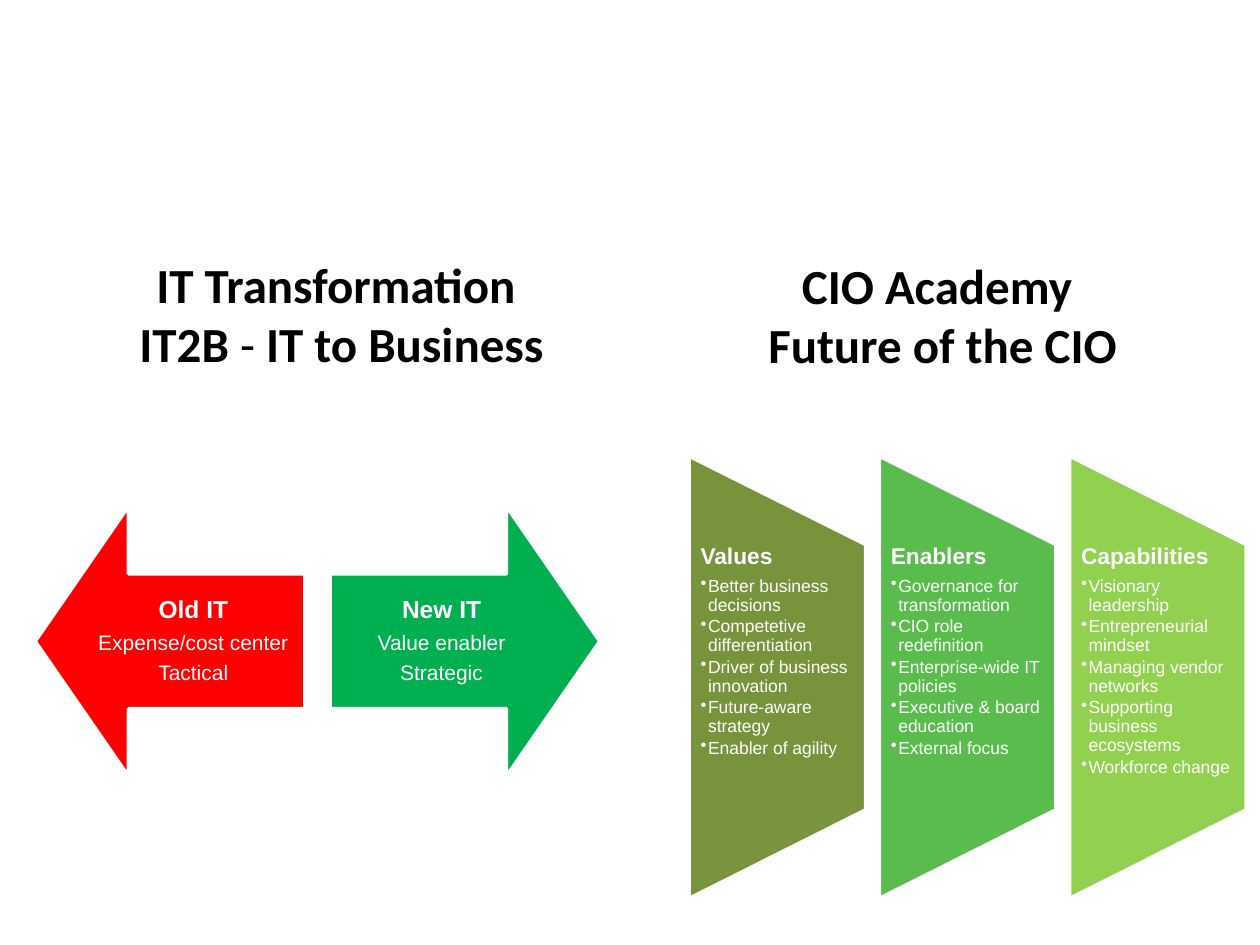
import lxml.etree
import pptx
import pptx.dml.color
import pptx.enum.text
import pptx.oxml.ns
import pptx.util

SLIDE_WIDTH, SLIDE_HEIGHT = 10, 7.5
COLORS = {
    "heading": "000000",
    "white": "FFFFFF",
    "old": "FF0000",
    "new": "00B050",
    "values": "77933C",
    "enablers": "59BC4C",
    "capabilities": "92D050",
}
HEADING = {"size": 28, "name": "Calibri", "color": "heading", "bold": True}
ARROW_TITLE = {"size": 14, "name": "Arial", "color": "white", "bold": True}
ARROW_LINE = {**ARROW_TITLE, "size": 12, "bold": False}
PANEL_TITLE = {**ARROW_TITLE, "size": 13}
PANEL_ITEM = {**ARROW_TITLE, "size": 10, "bold": False}

CENTER = pptx.enum.text.PP_ALIGN.CENTER
LEFT = pptx.enum.text.PP_ALIGN.LEFT
TOP = pptx.enum.text.MSO_ANCHOR.TOP
MIDDLE = pptx.enum.text.MSO_ANCHOR.MIDDLE

PANEL_LEFT, PANEL_TOP, PANEL_PITCH = 5.47, 3.62, 1.51
PANEL_WIDTH, PANEL_HEIGHT = 1.4, 3.51
ARROW_TOP, ARROW_SIZE = 4.02, 2.14

HEADINGS = [
    (0.5, 1.97, [["IT Transformation "], ["IT2B", " - ", "IT to Business"]]),
    (5.27, 1.98, [["CIO Academy "], ["Future of the CIO"]]),
]
ARROWS = [
    (0.28, 1, "old", (0.48, 0.64, 0.11, 0.64),
     "Old IT", ["Expense/cost center", "Tactical"]),
    (4.76, -1, "new", (0.11, 0.64, 0.48, 0.64),
     "New IT", ["Value enabler", "Strategic"]),
]
PANELS = [
    ("values", "Values", [
        "Better business decisions", "Competetive differentiation",
        "Driver of business innovation", "Future-aware strategy",
        "Enabler of agility"]),
    ("enablers", "Enablers", [
        "Governance for transformation", "CIO role redefinition",
        "Enterprise-wide IT policies", "Executive & board education",
        "External focus"]),
    ("capabilities", "Capabilities", [
        "Visionary leadership", "Entrepreneurial mindset",
        "Managing vendor networks", "Supporting business ecosystems",
        "Workforce change"]),
]


def rgb(name):
    return pptx.dml.color.RGBColor.from_string(COLORS[name])


def set_frame(frame, insets, anchor):
    frame.word_wrap = True
    frame.vertical_anchor = anchor
    for side, inset in zip(("left", "top", "right", "bottom"), insets):
        setattr(frame, f"margin_{side}", pptx.util.Inches(inset))


def add_span(para, text, style):
    span = para.add_run()
    span.text = text
    values = {
        "size": pptx.util.Pt(style["size"]),
        "name": style["name"],
        "bold": style["bold"],
    }
    for attribute, value in values.items():
        setattr(span.font, attribute, value)
    span.font.color.rgb = rgb(style["color"])


def add_para(frame, index, **formats):
    para = frame.add_paragraph() if index else frame.paragraphs[0]
    for attribute, value in formats.items():
        setattr(para, attribute, value)
    return para


def add_bullet(para):
    para.level = 1
    properties = para._p.get_or_add_pPr()
    indent = pptx.util.Inches(0.06)
    properties.set("marL", str(indent))
    properties.set("indent", str(-indent))
    qn = pptx.oxml.ns.qn
    bullet_color = lxml.etree.SubElement(properties, qn("a:buClr"))
    lxml.etree.SubElement(bullet_color, qn("a:srgbClr"), val=COLORS["white"])
    lxml.etree.SubElement(properties, qn("a:buChar"), char="•")


def add_heading(page, left, top, lines):
    box = page.shapes.add_textbox(
        *map(pptx.util.Inches, (left, top, 4.42, 4.95)))
    set_frame(box.text_frame, (0.1, 0.05, 0.1, 0.05), TOP)
    for index, line in enumerate(lines):
        para = add_para(box.text_frame, index, alignment=CENTER)
        for text in line:
            add_span(para, text, {**HEADING, "bold": text != " - "})


def add_outline(page, points, color):
    corners = [tuple(map(pptx.util.Inches, point)) for point in points]
    builder = page.shapes.build_freeform(*corners[0])
    builder.add_line_segments(corners[1:], close=True)
    shape = builder.convert_to_shape()
    shape.shadow.inherit = False
    shape.fill.solid()
    shape.fill.fore_color.rgb = rgb(color)
    shape.line.color.rgb = rgb("white")
    shape.line.width = pptx.util.Pt(2)
    return shape


def add_panel(page, column, color, title, items):
    left = PANEL_LEFT + column * PANEL_PITCH
    right, bottom = left + PANEL_WIDTH, PANEL_TOP + PANEL_HEIGHT
    slant = PANEL_HEIGHT / 5
    points = [(left, bottom), (left, PANEL_TOP),
              (right, PANEL_TOP + slant), (right, bottom - slant)]
    frame = add_outline(page, points, color).text_frame
    set_frame(frame, (0.09, 0.7, 0.09, 0.7), TOP)
    for index, text in enumerate([title, *items]):
        para = add_para(frame, index, alignment=LEFT, line_spacing=0.9,
                        space_after=pptx.util.Pt(1.5 if index else 4.6))
        if index:
            add_bullet(para)
        add_span(para, text, PANEL_ITEM if index else PANEL_TITLE)


def add_arrow(page, tip, direction, color, insets, title, lines):
    neck = tip + direction * 0.74
    tail = tip + direction * ARROW_SIZE
    top, bottom = ARROW_TOP, ARROW_TOP + ARROW_SIZE
    shaft_top, shaft_bottom = top + ARROW_SIZE / 4, bottom - ARROW_SIZE / 4
    points = [(neck, bottom), (tip, (top + bottom) / 2), (neck, top),
              (neck, shaft_top), (tail, shaft_top),
              (tail, shaft_bottom), (neck, shaft_bottom)]
    frame = add_outline(page, points, color).text_frame
    set_frame(frame, insets, MIDDLE)
    for index, text in enumerate([title, *lines]):
        para = add_para(frame, index, alignment=CENTER, line_spacing=0.9,
                        space_after=pptx.util.Pt(4.2 if index else 4.9))
        add_span(para, text, ARROW_LINE if index else ARROW_TITLE)


def main():
    deck = pptx.Presentation()
    deck.slide_width = pptx.util.Inches(SLIDE_WIDTH)
    deck.slide_height = pptx.util.Inches(SLIDE_HEIGHT)
    page = deck.slides.add_slide(deck.slide_layouts[6])
    for heading in HEADINGS:
        add_heading(page, *heading)
    for column, panel in enumerate(PANELS):
        add_panel(page, column, *panel)
    for arrow in ARROWS:
        add_arrow(page, *arrow)
    deck.save("out.pptx")


if __name__ == "__main__":
    main()
